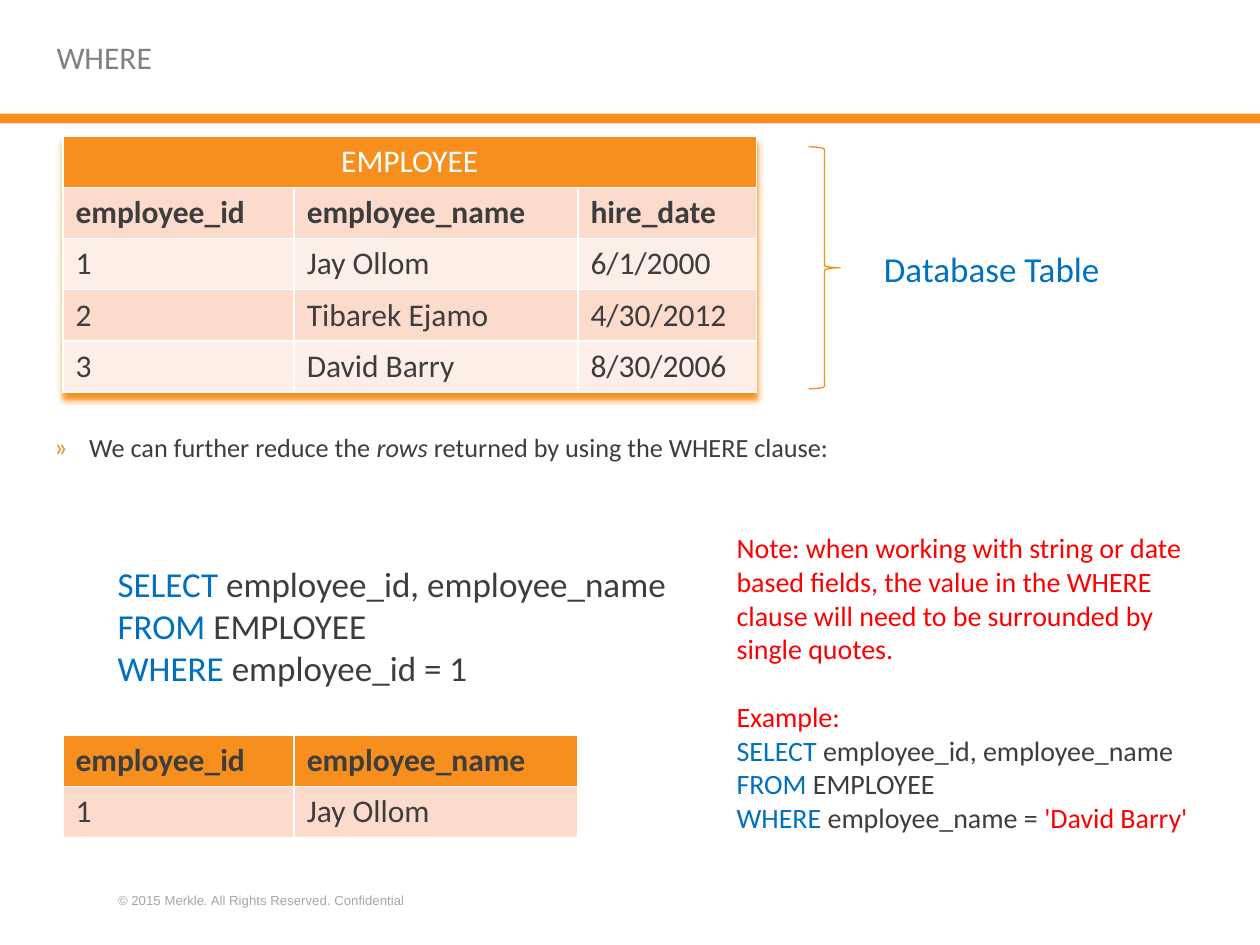
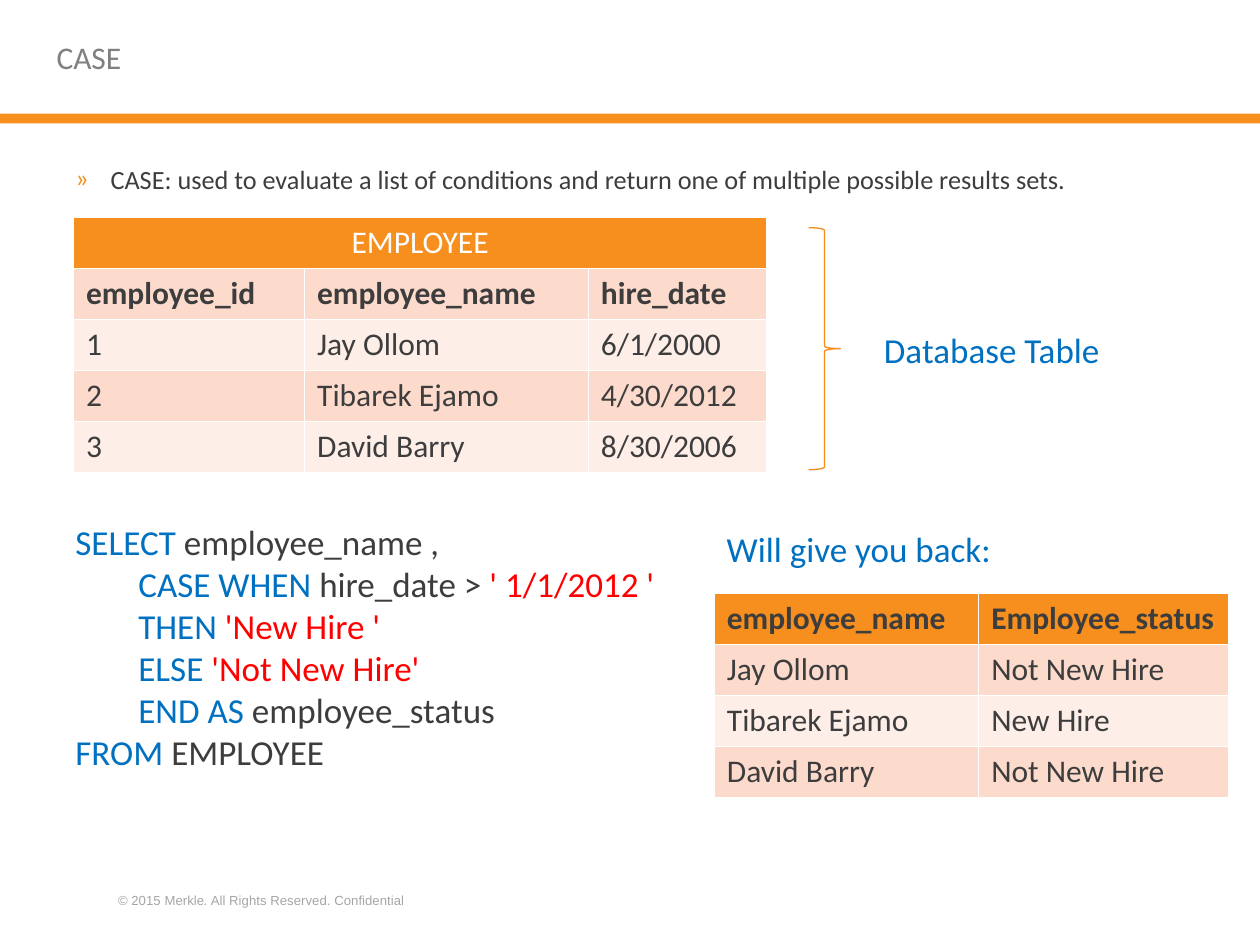
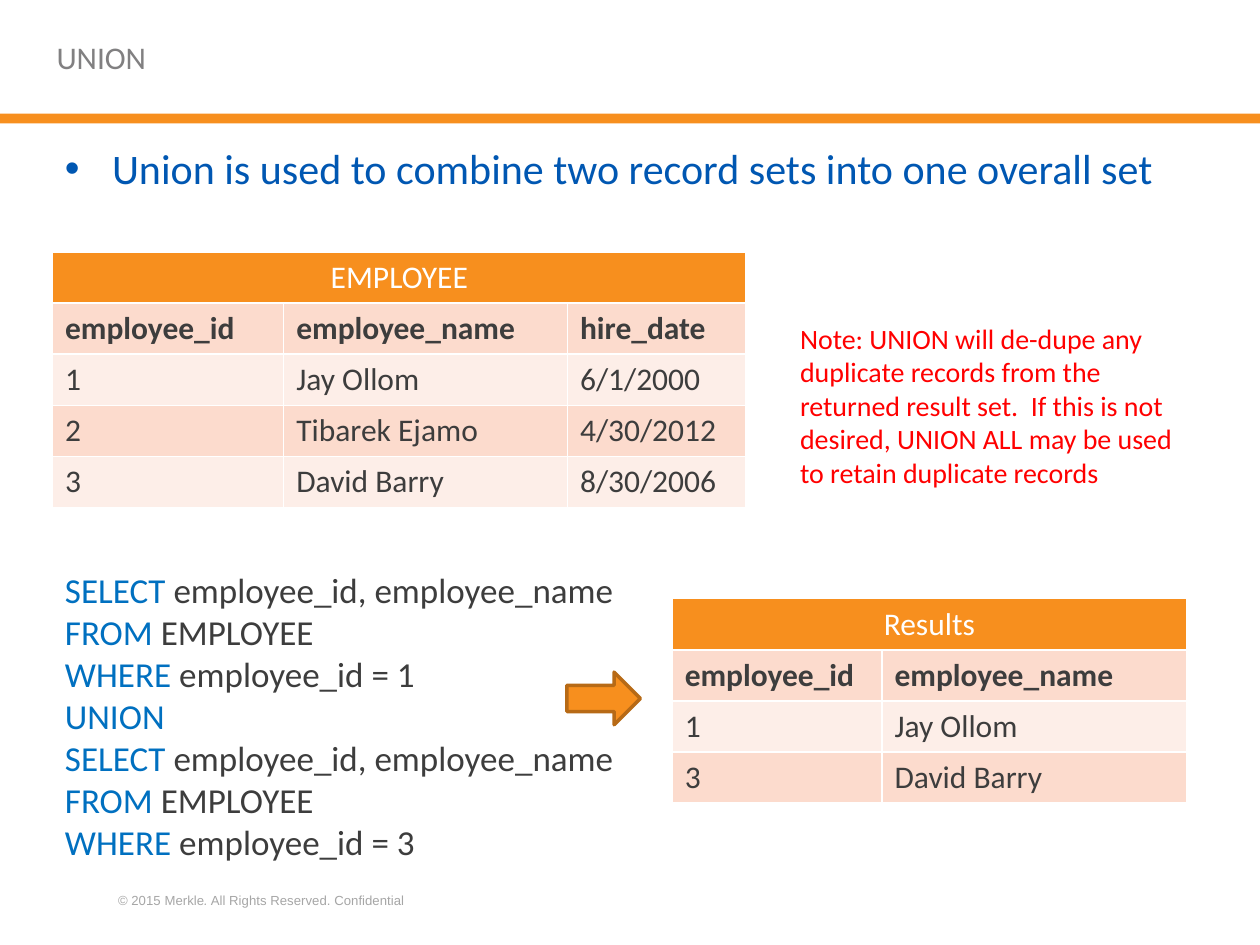
"""Builds three SQL training slides: WHERE, CASE and UNION."""
from lxml import etree
from pptx import Presentation
from pptx.dml.color import RGBColor
from pptx.enum.shapes import MSO_SHAPE as SHAPE
from pptx.enum.text import MSO_ANCHOR as ANCHOR, PP_ALIGN as ALIGN
from pptx.oxml.ns import qn
from pptx.util import Cm, Pt

WHITE = RGBColor(0xFF, 0xFF, 0xFF)
ORANGE = RGBColor(0xF7, 0x8F, 0x1E)
BRACE_ORANGE = RGBColor(0xF7, 0x8C, 0x18)
ARROW_EDGE = RGBColor(0xB7, 0x6A, 0x16)
ROW_DARK = RGBColor(0xFC, 0xDB, 0xCD)
ROW_LIGHT = RGBColor(0xFD, 0xEE, 0xE8)
TITLE_GRAY = RGBColor(0x81, 0x80, 0x81)
FOOTER_GRAY = RGBColor(0xA6, 0xA6, 0xA6)
TEXT = RGBColor(0x3D, 0x3D, 0x3D)
KEYWORD = RGBColor(0x00, 0x70, 0xC0)
HEADLINE = RGBColor(0x00, 0x57, 0xB2)
RED = RGBColor(0xFF, 0x00, 0x00)

FONT = "Calibri"
ROW_HEIGHT = Cm(1.03)
EMPLOYEE_WIDTHS = (4.66, 5.72, 3.6)
EMPLOYEE_ROWS = (
    ("employee_id", "employee_name", "hire_date"),
    ("1", "Jay Ollom", "6/1/2000"),
    ("2", "Tibarek Ejamo", "4/30/2012"),
    ("3", "David Barry", "8/30/2006"),
)
SELECT_COLUMNS = [("SELECT ", KEYWORD), ("employee_id, employee_name", TEXT)]
FROM_EMPLOYEE = [("FROM ", KEYWORD), ("EMPLOYEE", TEXT)]


def query_by_id(employee_id):
    """Return the lines of a query that picks one employee."""
    where = [("WHERE ", KEYWORD), (f"employee_id = {employee_id}", TEXT)]
    return [SELECT_COLUMNS, FROM_EMPLOYEE, where]


def style_font(font, size, color, bold=False, name=FONT):
    """Set the look of a font."""
    font.name, font.size, font.bold = name, Pt(size), bold
    font.color.rgb = color


def add_text(slide, box, lines, size, anchor=ANCHOR.TOP, name=FONT):
    """Add a text box whose lines are lists of (text, colour) runs."""
    tf = slide.shapes.add_textbox(*map(Cm, box)).text_frame
    tf.word_wrap = True
    tf.vertical_anchor = anchor
    for i, line in enumerate(lines):
        p = tf.add_paragraph() if i else tf.paragraphs[0]
        for text, color in line:
            r = p.add_run()
            r.text = text
            style_font(r.font, size, color, name=name)
    return tf


def add_bullet(p, char, font, hanging, color=None):
    """Give a paragraph a hanging bullet."""
    pPr = p._p.get_or_add_pPr()
    pPr.set("marL", str(Cm(hanging)))
    pPr.set("indent", str(-Cm(hanging)))
    if color is not None:
        clr = etree.SubElement(pPr, qn("a:buClr"))
        etree.SubElement(clr, qn("a:srgbClr"), val=str(color))
    etree.SubElement(pPr, qn("a:buFont"), typeface=font)
    etree.SubElement(pPr, qn("a:buChar"), char=char)


def add_statement(slide, box, runs):
    """Add a body line with an orange angle bullet."""
    tf = add_text(slide, box, [runs], 15, ANCHOR.MIDDLE)
    add_bullet(tf.paragraphs[0], "»", FONT, 0.71, ORANGE)
    return tf


def add_preset(slide, kind, box, fill=None, line=None, width=0.75):
    """Add a preset shape without shadow."""
    sp = slide.shapes.add_shape(kind, *map(Cm, box))
    sp.shadow.inherit = False
    if fill is None:
        sp.fill.background()
    else:
        sp.fill.solid()
        sp.fill.fore_color.rgb = fill
    if line is None:
        sp.line.fill.background()
    else:
        sp.line.color.rgb = line
        sp.line.width = Pt(width)


def add_records(slide, left, top, widths, rows, caption=None):
    """Add a banded record table, with a merged caption row if one is given."""
    if caption:
        rows = [(caption,) + ("",) * (len(widths) - 1), *rows]
    frame = slide.shapes.add_table(len(rows), len(widths), Cm(left), Cm(top),
                                   Cm(sum(widths)), ROW_HEIGHT * len(rows))
    table = frame.table
    for column, width in zip(table.columns, widths):
        column.width = Cm(width)
    heading_row = 1 if caption else 0
    for i, row in enumerate(rows):
        fill = ORANGE if i == 0 else (ROW_LIGHT, ROW_DARK)[i % 2]
        color = WHITE if i < heading_row else TEXT
        for j, text in enumerate(row):
            cell = table.cell(i, j)
            cell.fill.solid()
            cell.fill.fore_color.rgb = fill
            cell.text = text
            for r in cell.text_frame.paragraphs[0].runs:
                style_font(r.font, 18, color, bold=i == heading_row)
    if caption:
        table.cell(0, 0).merge(table.cell(0, len(widths) - 1))
        table.cell(0, 0).text_frame.paragraphs[0].alignment = ALIGN.CENTER
    return table


def add_employee(slide, left, top):
    """Add the EMPLOYEE table."""
    return add_records(slide, left, top, EMPLOYEE_WIDTHS, EMPLOYEE_ROWS, "EMPLOYEE")


def add_table_shadow(table):
    """Put a soft orange shadow under a table."""
    effects = etree.Element(qn("a:effectLst"))
    shadow = etree.SubElement(effects, qn("a:outerShdw"), blurRad=str(Pt(4)),
                              dist=str(Pt(4)), dir="5400000", rotWithShape="0")
    etree.SubElement(shadow, qn("a:srgbClr"), val=str(ORANGE))
    table._tbl.tblPr.insert(0, effects)


def add_table_label(slide, top):
    """Add the brace and its Database Table label."""
    add_preset(slide, SHAPE.RIGHT_BRACE, (16.3, top, 0.64, 4.88), line=BRACE_ORANGE)
    add_text(slide, (17.57, top + 1.91, 5, 1.11), [[("Database Table", KEYWORD)]], 20)


def add_base_slide(prs, title):
    """Add a slide with the title, orange band and footer."""
    slide = prs.slides.add_slide(prs.slide_layouts[6])
    add_preset(slide, SHAPE.RECTANGLE, (0, 2.29, 25.4, 0.2), fill=ORANGE)
    footer = [(text, FOOTER_GRAY) for text in
              ("© 2015 Merkle", ".", " All Rights Reserved. Confidential")]
    tf = add_text(slide, (2.13, 17.86, 10.46, 0.58), [footer], 7.5, name="Arial")
    tf.paragraphs[0].runs[1].font.italic = True
    add_text(slide, (0.89, 0, 23.57, 2.29), [[(title, TITLE_GRAY)]], 18, ANCHOR.MIDDLE)
    return slide


def build_where(prs):
    """Build the WHERE slide."""
    slide = add_base_slide(prs, "WHERE")
    tf = add_statement(slide, (0.84, 8.28, 22.86, 1.47), [
        ("We can further reduce the ", TEXT), ("rows", TEXT),
        (" returned by using the WHERE clause:", TEXT)])
    tf.paragraphs[0].runs[1].font.italic = True
    add_table_shadow(add_employee(slide, 1.27, 2.75))
    add_text(slide, (2.12, 11.22, 13.18, 2.82), query_by_id(1), 20)
    add_records(slide, 1.27, 14.82, EMPLOYEE_WIDTHS[:2],
                [row[:2] for row in EMPLOYEE_ROWS[:2]])
    add_table_label(slide, 2.96)
    tf = add_text(slide, (14.6, 10.58, 9.74, 6.5), [
        [("Note: when working with string or date based fields, the value in the "
          "WHERE clause will need to be surrounded by single quotes.", RED)],
        [("Example:", RED)],
        SELECT_COLUMNS,
        FROM_EMPLOYEE,
        [("WHERE ", KEYWORD), ("employee_name = ", TEXT), ("'David Barry'", RED)],
    ], 16)
    tf.paragraphs[1].space_before = Pt(19.5)


def build_case(prs):
    """Build the CASE slide."""
    slide = add_base_slide(prs, "CASE")
    add_statement(slide, (1.27, 2.75, 22.86, 1.7), [
        ("CASE: used to evaluate a list of conditions and return one of multiple "
         "possible results sets.", TEXT)])
    add_employee(slide, 1.48, 4.38)
    tf = add_text(slide, (1.27, 10.37, 13.76, 5.38), [
        [("SELECT ", KEYWORD), ("employee_name ,", TEXT)],
        [("CASE WHEN ", KEYWORD), ("hire_date >", TEXT), (" ' 1/1/2012 '", RED)],
        [("THEN ", KEYWORD), ("'New Hire '", RED)],
        [("ELSE ", KEYWORD), ("'Not New Hire'", RED)],
        [("END AS ", KEYWORD), ("employee_status", TEXT)],
        FROM_EMPLOYEE,
    ], 20)
    for p in tf.paragraphs[1:5]:
        p._p.get_or_add_pPr().set("marL", str(Cm(1.27)))
    add_records(slide, 14.4, 11.96, (5.33, 5.04), [
        ("employee_name", "Employee_status"),
        ("Jay Ollom", "Not New Hire"),
        ("Tibarek Ejamo", "New Hire"),
        ("David Barry", "Not New Hire"),
    ])
    add_text(slide, (14.4, 10.5, 6.4, 1.11), [[("Will give you back:", KEYWORD)]], 20)
    add_table_label(slide, 4.59)


def build_union(prs):
    """Build the UNION slide."""
    slide = add_base_slide(prs, "UNION")
    add_employee(slide, 1.06, 5.08)
    add_text(slide, (1.06, 11.34, 11.64, 6.25),
             [*query_by_id(1), [("UNION", KEYWORD)], *query_by_id(3)], 20)
    add_records(slide, 13.55, 12.07, (4.23, 6.14),
                [EMPLOYEE_ROWS[i][:2] for i in (0, 1, 3)], "Results")
    add_preset(slide, SHAPE.RIGHT_ARROW, (11.43, 13.55, 1.48, 1.06),
               ORANGE, ARROW_EDGE, 2)
    tf = add_text(slide, (1.06, 2.75, 23.07, 1.28), [
        [("Union is used to combine two record sets into one overall set", HEADLINE)]], 24)
    add_bullet(tf.paragraphs[0], "•", "Arial", 0.95)
    add_text(slide, (15.88, 6.35, 8.04, 3.68), [
        [("Note: UNION will de-dupe any duplicate records from the returned result "
          "set.  If this is not desired, UNION ALL may be used to retain duplicate "
          "records", RED)]], 16)


def main():
    """Build and save the presentation."""
    prs = Presentation()
    prs.slide_width, prs.slide_height = Cm(25.4), Cm(19.05)
    build_where(prs)
    build_case(prs)
    build_union(prs)
    prs.save("out.pptx")


if __name__ == "__main__":
    main()
